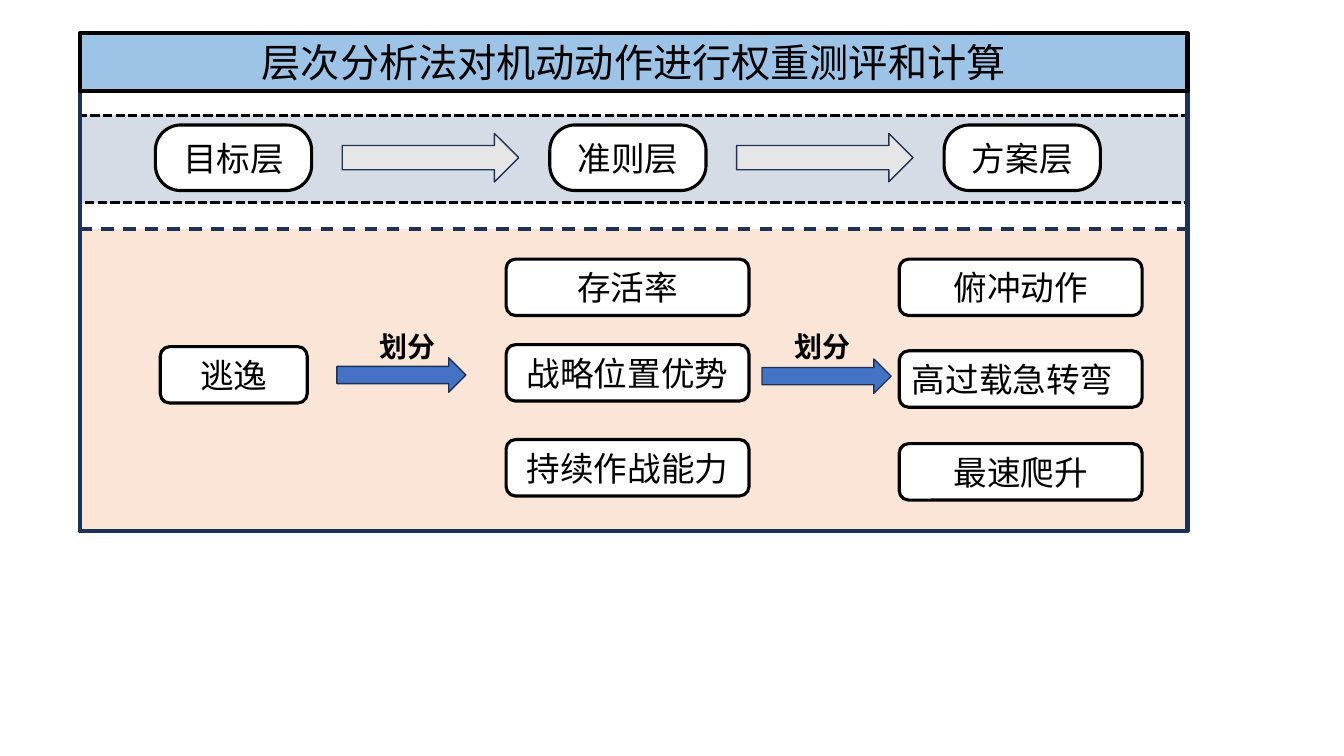
from pptx import Presentation
from pptx.dml.color import RGBColor
from pptx.enum import dml, shapes, text
from pptx.oxml.ns import qn
from pptx.util import Pt

FONT = "Noto Sans CJK SC"
INK, NAVY, WHITE = "000000", "1E3256", "FFFFFF"
KIND = shapes.MSO_SHAPE
DASH = dml.MSO_LINE
MID = text.PP_ALIGN.CENTER
LEFT = text.PP_ALIGN.LEFT


def color(hue):
    return RGBColor.from_string(hue)


def write(shape, words, size, align=MID, bold=False):
    frame = shape.text_frame
    frame.word_wrap = True
    para = frame.paragraphs[0]
    para.alignment = align
    run = para.add_run()
    run.text = words
    font = run.font
    font.size, font.bold, font.name = Pt(size), bold, FONT
    font.color.rgb = color(INK)
    # East Asian typeface
    props = run._r.get_or_add_rPr()
    east = props.makeelement(qn("a:ea"), {"typeface": FONT})
    props.find(qn("a:latin")).addnext(east)


def draw(slide, kind, box, fill, line, width, dash=None):
    shape = slide.shapes.add_shape(kind, *map(Pt, box))
    shape.shadow.inherit = False
    if fill:
        shape.fill.solid()
        shape.fill.fore_color.rgb = color(fill)
    else:
        shape.fill.background()
    shape.line.color.rgb = color(line)
    shape.line.width = Pt(width)
    if dash:
        shape.line.dash_style = dash
    return shape


def node(slide, box, words, round=None, align=MID):
    shape = draw(slide, KIND.ROUNDED_RECTANGLE, box, WHITE, INK, 2.25)
    if round:
        shape.adjustments[0] = round
    write(shape, words, 24, align)


def arrow(slide, box, fill):
    draw(slide, KIND.RIGHT_ARROW, box, fill, NAVY, 1)


def label(slide, box, words):
    shape = slide.shapes.add_textbox(*map(Pt, box))
    write(shape, words, 20, LEFT, True)


def header(slide, box):
    shape = draw(slide, KIND.RECTANGLE, box, "9DC3E6", INK, 3)
    write(shape, "层次分析法对机动动作进行权重测评和计算", 28)


def layers(slide, box):
    x, y, _, _ = box
    draw(slide, KIND.RECTANGLE, box, "D6DCE5", INK, 2.25, DASH.SQUARE_DOT)
    step = 281.7
    for i, name in enumerate(["目标层", "准则层", "方案层"]):
        left = x + 54 + i * step
        if i < 2:
            arrow(slide, (left + 133.5, y + 13, 126, 34.6), "E7E6E6")
        node(slide, (left, y + 7, 111.6, 46.8), name, 0.385)


def detail(slide, box):
    x, y, _, _ = box
    high = 40.3
    draw(slide, KIND.RECTANGLE, box, "FBE5D6", NAVY, 2.25, DASH.DASH)

    # Goal, criteria and actions: left, width, then (top, words)
    columns = [
        (57.5, 105, [(84, "逃逸")]),
        (304.5, 173.5, [(21.5, "存活率"), (82.6, "战略位置优势"),
                        (150.4, "持续作战能力")]),
        (585.3, 173.5, [(21.5, "俯冲动作"), (87, "高过载急转弯"),
                        (153.3, "最速爬升")]),
    ]
    for left, wide, items in columns:
        for top, words in items:
            align = LEFT if words == "高过载急转弯" else MID
            node(slide, (x + left, y + top, wide, high), words, align=align)

    # Division steps
    for left, top, shift, wide in [(183.6, 92, 23.6, 55), (487.3, 92.8, 16, 60.5)]:
        arrow(slide, (x + left, y + top, 92.2, 24.6), "4472C4")
        label(slide, (x + left + shift, y + 68.4, wide, 31.7), "划分")


def diagram(slide, box):
    x, y, wide, high = box
    layers(slide, (x, y + 58, wide, 62.6))
    detail(slide, (x, y + 139.3, wide, 216))
    draw(slide, KIND.RECTANGLE, box, None, NAVY, 3)
    header(slide, (x, y - 0.5, wide, 41))


def main():
    deck = Presentation()
    deck.slide_width, deck.slide_height = Pt(960), Pt(540)
    slide = deck.slides.add_slide(deck.slide_layouts[6])
    diagram(slide, (57, 24.3, 791.3, 355))
    deck.save("out.pptx")


if __name__ == "__main__":
    main()
